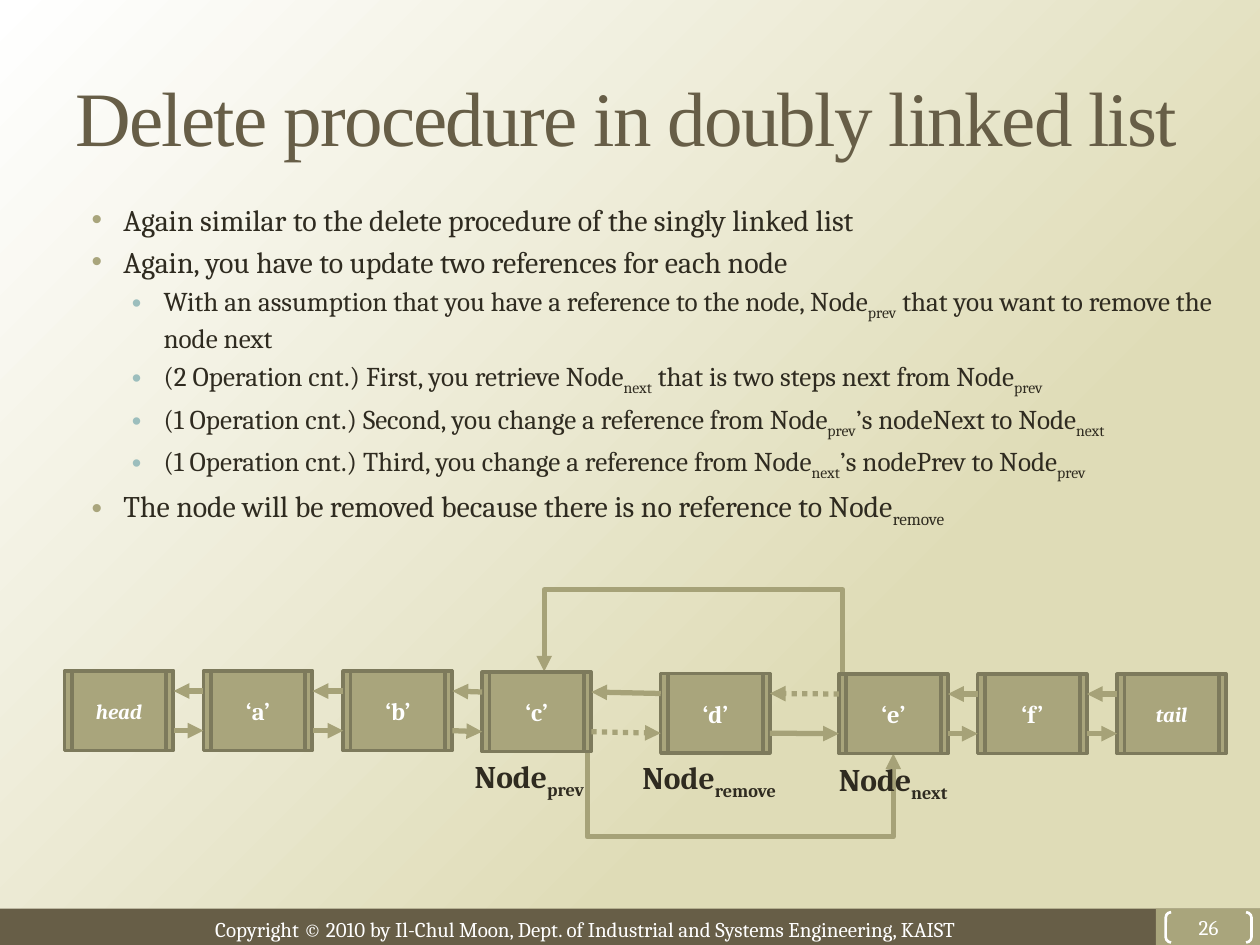
"""Build a slide on deleting a node from a doubly linked list."""
from itertools import pairwise
from lxml.etree import SubElement as Sub
from pptx import Presentation
from pptx.dml.color import RGBColor
from pptx.enum.dml import MSO_LINE_DASH_STYLE as Dash
from pptx.enum.shapes import MSO_CONNECTOR as Link, MSO_SHAPE as Form
from pptx.enum.text import MSO_ANCHOR as Anchor, PP_ALIGN as Align
from pptx.oxml.ns import qn
from pptx.util import Cm, Pt

WHITE = RGBColor(0xFF, 0xFF, 0xFF)
SAND = RGBColor(0xDF, 0xDC, 0xB7)
BROWN = RGBColor(0x67, 0x5E, 0x47)
OLIVE = RGBColor(0xA9, 0xA5, 0x7C)
EDGE = RGBColor(0x7D, 0x7A, 0x5C)
ARROW = RGBColor(0xA6, 0xA2, 0x78)
TEAL = RGBColor(0x9C, 0xBE, 0xBD)
INK = RGBColor(0x2F, 0x2B, 0x20)

TITLE = "Delete procedure in doubly linked list"
FOOTER = "Copyright © 2010 by Il-Chul Moon, Dept. of Industrial and Systems Engineering, KAIST"
PAGE = "26"
POINTS = [
    (0, "Again similar to the delete procedure of the singly linked list"),
    (0, "Again, you have to update two references for each node"),
    (1, "With an assumption that you have a reference to the node, Node_prev_ that you want to remove the node next"),
    (1, "(2 Operation cnt.) First, you retrieve Node_next_ that is two steps next from Node_prev_"),
    (1, "(1 Operation cnt.) Second, you change a reference from Node_prev_’s nodeNext to Node_next_"),
    (1, "(1 Operation cnt.) Third, you change a reference from Node_next_’s nodePrev to Node_prev_"),
    (0, "The node will be removed because there is no reference to Node_remove_"),
]
LEVELS = [(17.1, 0.97, OLIVE), (15.5, 1.78, TEAL)]
NODES = [
    ("head", 1.3, 13.53), ("‘a’", 4.1, 13.53), ("‘b’", 6.92, 13.53), ("‘c’", 9.72, 13.55),
    ("‘d’", 13.32, 13.58), ("‘e’", 16.91, 13.59), ("‘f’", 19.71, 13.59), ("tail", 22.52, 13.59),
]
ENDS = ("head", "tail")
PARTS = [(0.3, 1.9), (2.06, 0.13), (0.15, 1.9), (0, 0.15)]
MAIN = 2
NODE_W, NODE_H = 2.2, 1.6
BACK_Y, NEXT_Y = 0.4, 1.2
CUT = [("‘c’", "‘d’"), ("‘e’", "‘d’")]
LABELS = [("Node_remove_", 12.7, 15.16, 3.6), ("Node_prev_", 9.32, 15.14, 3), ("Node_next_", 16.66, 15.19, 3)]
LOOPS = [((16.99, 13.59), (10.97, 13.54), 11.89), ((11.84, 15.14), (18.01, 15.19), 16.87)]


def style(run, size, color, name="Cambria", bold=False, italic=False):
    font = run.font
    font.size, font.name, font.bold, font.italic = Pt(size), name, bold, italic
    font.color.rgb = color


def write(para, text, size, color, **look):
    for i, part in enumerate(text.split("_")):
        if part:
            run = para.add_run()
            run.text = part
            style(run, size, color, **look)
            if i % 2:
                run.font._element.set("baseline", "-25000")


def text_box(shapes, *place):
    frame = shapes.add_textbox(*map(Cm, place)).text_frame
    frame.word_wrap = True
    return frame


def block(shapes, place, fill=None, line=None, width=2, form=Form.RECTANGLE):
    shape = shapes.add_shape(form, *map(Cm, place))
    shape.shadow.inherit = False
    if fill:
        shape.fill.solid()
        shape.fill.fore_color.rgb = fill
    else:
        shape.fill.background()
    if line:
        shape.line.color.rgb = line
        shape.line.width = Pt(width)
    else:
        shape.line.fill.background()
    return shape


def center(shape, text, size, **look):
    frame = shape.text_frame
    frame.vertical_anchor = Anchor.MIDDLE
    frame.margin_left = frame.margin_right = frame.margin_top = frame.margin_bottom = 0
    para = frame.paragraphs[0]
    para.text = text
    para.alignment = Align.CENTER
    style(para.runs[0], size, WHITE, **look)


def arrow(shapes, start, end, kind=Link.STRAIGHT, dots=False):
    link = shapes.add_connector(kind, *map(Cm, (*start, *end)))
    link.line.color.rgb = ARROW
    link.line.width = Pt(3)
    if dots:
        link.line.dash_style = Dash.ROUND_DOT
    props = link._element.spPr
    Sub(props.find(qn("a:ln")), qn("a:tailEnd"), type="triangle")
    Sub(props, qn("a:effectLst"))
    return link


def loop(shapes, start, end, peak):
    (x1, y1), (x2, y2) = start, end
    mid_x, mid_y = (x1 + x2) / 2, (y1 + y2) / 2
    dx, dy = (y1 - y2) / 2, (x1 - x2) / 2
    if peak > y1:
        dx = abs(dx)
    else:
        dx = -abs(dx)
    link = arrow(shapes, (mid_x + dx, mid_y + dy), (mid_x - dx, mid_y - dy), Link.ELBOW)
    props = link._element.spPr
    props.find(qn("a:xfrm")).set("rot", "16200000")
    ratio = round(abs(peak - y1) / abs(y2 - y1) * 100000)
    guides = props.find(qn("a:prstGeom")).find(qn("a:avLst"))
    Sub(guides, qn("a:gd"), name="adj1", fmla=f"val {ratio}")


def bullets(frame):
    for i, (level, text) in enumerate(POINTS):
        size, indent, color = LEVELS[level]
        para = frame.add_paragraph() if i else frame.paragraphs[0]
        para.level = level
        props = para._p.get_or_add_pPr()
        props.set("marL", str(Cm(indent)))
        props.set("indent", str(Cm(-0.64)))
        Sub(Sub(props, qn("a:buClr")), qn("a:srgbClr"), val=str(color))
        Sub(props, qn("a:buFont"), typeface="Arial")
        Sub(props, qn("a:buChar"), char="•")
        if i:
            para.space_before = Pt(size * 0.2)
        write(para, text, size, INK)


def node(shapes, name, x, y):
    group = shapes.add_group_shape().shapes
    for i, (dx, width) in enumerate(PARTS):
        part = block(group, (x + dx, y, width, NODE_H), OLIVE, EDGE)
        if i == MAIN:
            end = name in ENDS
            center(part, name, 12 if end else 14, bold=True, italic=end)


def main():
    deck = Presentation()
    deck.slide_width, deck.slide_height = Cm(25.4), Cm(19.05)
    slide = deck.slides.add_slide(deck.slide_layouts[6])
    shapes = slide.shapes
    fill = slide.background.fill
    fill.gradient()
    fill.gradient_angle = 135
    for stop, color, place in zip(fill.gradient_stops, (SAND, WHITE), (0.31, 1)):
        stop.color.rgb, stop.position = color, place

    block(shapes, (0, 18.32, 25.4, 0.73), BROWN)
    block(shapes, (23.3, 18.32, 2.1, 0.73), OLIVE)
    write(text_box(shapes, 4.09, 18.36, 16.28, 0.76).paragraphs[0], FOOTER, 12, WHITE)
    for path in LOOPS:
        loop(shapes, *path)

    frame = text_box(shapes, 1.27, 0.76, 23.42, 3.15)
    frame.vertical_anchor = Anchor.MIDDLE
    write(frame.paragraphs[0], TITLE, 44, BROWN, name="Times New Roman")
    frame.paragraphs[0].runs[0].font._element.set("spc", "-100")
    bullets(text_box(shapes, 1.27, 3.94, 23.42, 6.4))
    badge = block(shapes, (23.5, 18.39, 1.73, 0.61), line=WHITE, width=1.5, form=Form.DOUBLE_BRACKET)
    badge.adjustments[0] = 0.18
    center(badge, PAGE, 12)

    for text, x, y, width in LABELS:
        write(text_box(shapes, x, y, width, 1.02).paragraphs[0], text, 18, INK, bold=True)
    for item in NODES:
        node(shapes, *item)
    for (name, x, y), (other, x2, y2) in pairwise(NODES):
        right = x + NODE_W
        arrow(shapes, (right, y + NEXT_Y), (x2, y2 + NEXT_Y), dots=(name, other) in CUT)
        arrow(shapes, (x2, y2 + BACK_Y), (right, y + BACK_Y), dots=(other, name) in CUT)
    deck.save("out.pptx")


if __name__ == "__main__":
    main()
